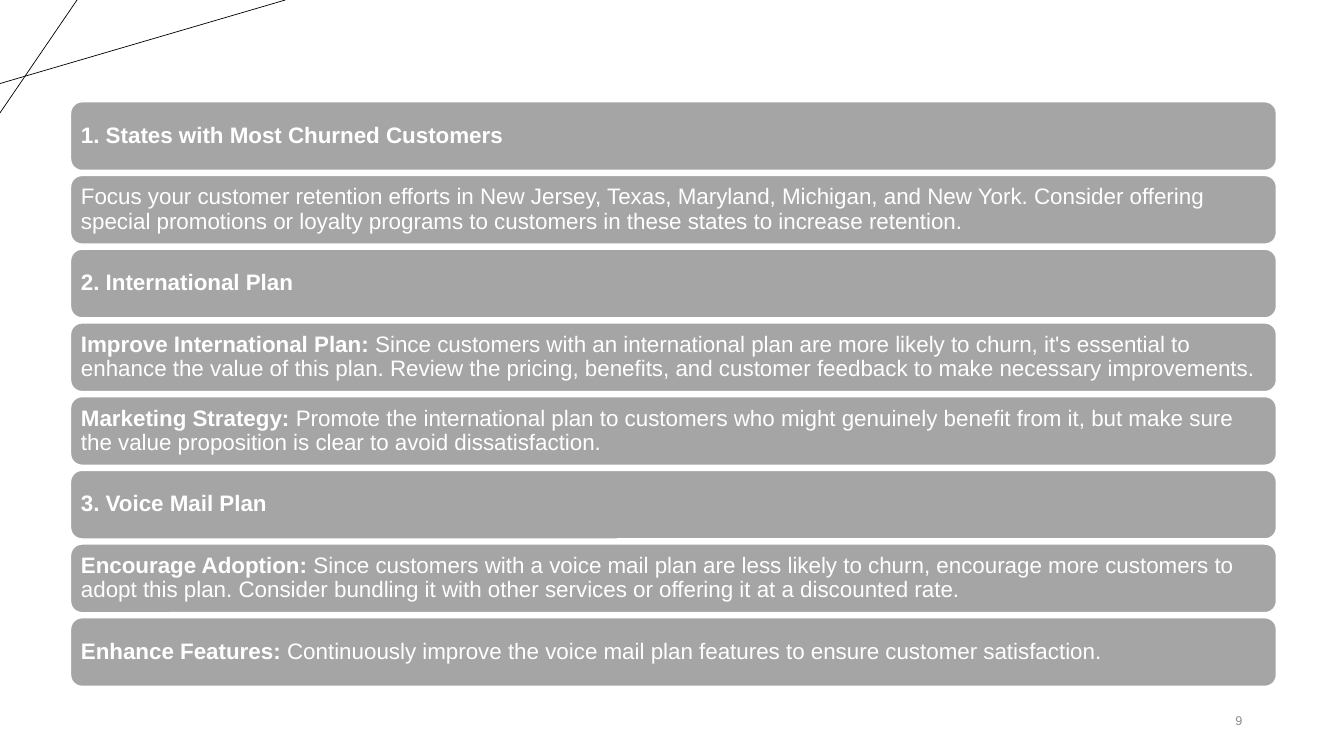
from dataclasses import dataclass

from lxml import etree
from pptx import Presentation
from pptx import util as u
from pptx.dml.color import RGBColor
from pptx.enum import shapes, text
from pptx.oxml import ns


@dataclass(frozen=True)
class Theme:
    font: str = "Arial"
    bar: RGBColor = RGBColor(0xA5, 0xA5, 0xA5)
    light: RGBColor = RGBColor(0xFF, 0xFF, 0xFF)
    dark: RGBColor = RGBColor(0, 0, 0)
    muted: RGBColor = RGBColor(0x8C, 0x8C, 0x8C)
    body_size: int = 16
    number_size: int = 9


THEME = Theme()

RECOMMENDATIONS = [
    ("1. States with Most Churned Customers", ""),
    ("", "Focus your customer retention efforts in New Jersey, Texas, Maryland, "
         "Michigan, and New York. Consider offering special promotions or loyalty "
         "programs to customers in these states to increase retention."),
    ("2. International Plan", ""),
    ("Improve International Plan:",
     " Since customers with an international plan are more likely to churn, it's "
     "essential to enhance the value of this plan. Review the pricing, benefits, "
     "and customer feedback to make necessary improvements."),
    ("Marketing Strategy:",
     " Promote the international plan to customers who might genuinely benefit "
     "from it, but make sure the value proposition is clear to avoid "
     "dissatisfaction."),
    ("3. Voice Mail Plan", ""),
    ("Encourage Adoption:",
     " Since customers with a voice mail plan are less likely to churn, encourage "
     "more customers to adopt this plan. Consider bundling it with other services "
     "or offering it at a discounted rate."),
    ("Enhance Features:",
     " Continuously improve the voice mail plan features to ensure customer "
     "satisfaction."),
]


def add_run(p, words, size, color, bold=False):
    r = p.add_run()
    r.text = words
    r.font.name = THEME.font
    r.font.size = u.Pt(size)
    r.font.bold = bold
    r.font.color.rgb = color


def add_corner_lines(s, left, top, width, height):
    ends = [
        (left, top + 0.74 * height, left + width, top),
        (left + 0.27 * width, top, left, top + height),
    ]
    for points in ends:
        line = s.shapes.add_connector(
            shapes.MSO_CONNECTOR.STRAIGHT, *map(u.Inches, points))
        line.line.color.rgb = THEME.dark
        line.line.width = u.Pt(0.5)
        etree.SubElement(line._element.spPr, ns.qn("a:effectLst"))


def add_bar(s, left, top, width, height, lead, detail):
    sp = s.shapes.add_shape(
        shapes.MSO_SHAPE.ROUNDED_RECTANGLE,
        *map(u.Inches, (left, top, width, height)))
    sp.shadow.inherit = False
    sp.fill.solid()
    sp.fill.fore_color.rgb = THEME.bar
    sp.line.color.rgb = THEME.light
    sp.line.width = u.Pt(1)
    tf = sp.text_frame
    tf.word_wrap = True
    tf.vertical_anchor = text.MSO_ANCHOR.MIDDLE
    tf.margin_left = tf.margin_right = u.Inches(0.07)
    tf.margin_top = tf.margin_bottom = u.Inches(0.07)
    p = tf.paragraphs[0]
    p.alignment = text.PP_ALIGN.LEFT
    p.line_spacing = 0.9
    for words, bold in ((lead, True), (detail, False)):
        if words:
            add_run(p, words, THEME.body_size, THEME.light, bold)


def add_recommendations(s, left, top, width, height, gap=0.05):
    pitch = (height + gap) / len(RECOMMENDATIONS)
    for i, (lead, detail) in enumerate(RECOMMENDATIONS):
        add_bar(s, left, top + i * pitch, width, pitch - gap, lead, detail)


def add_slide_number(s, left, top, width, height, number):
    sp = s.shapes.add_textbox(*map(u.Inches, (left, top, width, height)))
    tf = sp.text_frame
    tf.word_wrap = True
    tf.vertical_anchor = text.MSO_ANCHOR.MIDDLE
    p = tf.paragraphs[0]
    p.alignment = text.PP_ALIGN.RIGHT
    p.space_after = u.Pt(6)
    add_run(p, number, THEME.number_size, THEME.muted)


def main():
    prs = Presentation()
    prs.slide_width = u.Inches(13.33)
    prs.slide_height = u.Inches(7.5)
    s = prs.slides.add_slide(prs.slide_layouts[6])
    add_corner_lines(s, 0, 0, 2.83, 1.12)
    add_slide_number(s, 11.34, 6.95, 1.08, 0.4, "9")
    add_recommendations(s, 0.7, 1.01, 11.96, 5.8)
    prs.save("out.pptx")


if __name__ == "__main__":
    main()
